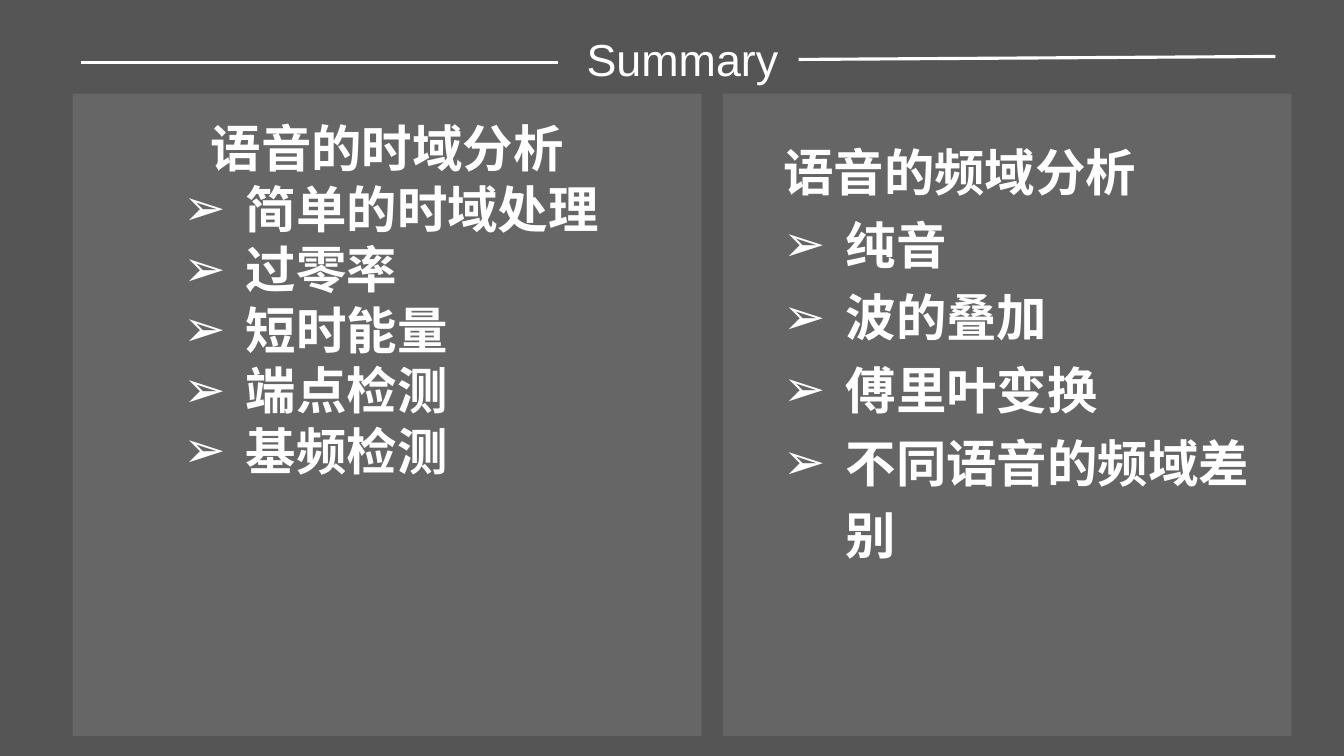
from lxml import etree
from pptx import Presentation
from pptx.dml.color import RGBColor
from pptx.enum import shapes, text
from pptx.oxml import ns
from pptx.util import Inches, Pt

WHITE = "FFFFFF"
CJK_FONT = "Noto Sans CJK SC"

presentation = Presentation()
presentation.slide_width = Inches(13.33)
presentation.slide_height = Inches(7.5)
slide = presentation.slides.add_slide(presentation.slide_layouts[6])


def paint(target, color, opacity=100):
    """Give a fill or line format a solid colour, opacity in percent."""
    target.solid()
    target.fore_color.rgb = RGBColor.from_string(color)
    if opacity < 100:
        color_element = target._xPr.find(ns.qn("a:solidFill"))[0]
        etree.SubElement(color_element, ns.qn("a:alpha"), val=str(opacity * 1000))


def add_panel(left, top, width, height, color, opacity):
    shape = slide.shapes.add_shape(
        shapes.MSO_SHAPE.RECTANGLE, left, top, width, height)
    shape.shadow.inherit = False
    shape.line.fill.background()
    paint(shape.fill, color, opacity)
    return shape


add_panel(0, 0, presentation.slide_width, presentation.slide_height, "0D0D0D", 70)

# Title between two rules
title = slide.shapes.add_textbox(Inches(5.17), Inches(0.31), Inches(3.2), Inches(0.54))
frame = title.text_frame
frame.word_wrap = True
frame.vertical_anchor = text.MSO_ANCHOR.MIDDLE
frame.margin_left = frame.margin_right = frame.margin_top = frame.margin_bottom = 0
paragraph = frame.paragraphs[0]
paragraph.text = "Summary"
paragraph.alignment = text.PP_ALIGN.CENTER
paragraph.font.name = "Arial"
paragraph.font.size = Pt(32)
paragraph.font.color.rgb = RGBColor.from_string(WHITE)

for left, start, end in ((0.8, 0.62, 0.62), (7.92, 0.59, 0.56)):
    rule = slide.shapes.add_connector(
        shapes.MSO_CONNECTOR.STRAIGHT,
        Inches(left), Inches(start), Inches(left + 4.73), Inches(end))
    paint(rule.line.fill, WHITE)
    rule.line.width = Pt(2.25)
    etree.SubElement(rule._element.spPr, ns.qn("a:effectLst"))

# Panels: left, width, fill, font, top inset, line pitch, heading alignment,
# heading indent, bullet indent, lines
HANGING = 0.62
panels = (
    (0.72, 6.24, WHITE, "Arial", 0.23, 43.3, text.PP_ALIGN.CENTER, 0, 1.62,
     ("语音的时域分析", "简单的时域处理", "过零率", "短时能量", "端点检测", "基频检测")),
    (7.17, 5.64, "F2F2F2", CJK_FONT, 0.35, 51.9, text.PP_ALIGN.LEFT, 0.5, 1.12,
     ("语音的频域分析", "纯音", "波的叠加", "傅里叶变换", "不同语音的频域差别")),
)
for (left, width, color, font, inset, pitch, alignment,
     heading_indent, bullet_indent, lines) in panels:
    panel = add_panel(Inches(left), Inches(0.93), Inches(width), Inches(6.37), color, 10)
    frame = panel.text_frame
    frame.word_wrap = True
    frame.vertical_anchor = text.MSO_ANCHOR.TOP
    frame.margin_top = Inches(inset)
    for index, line in enumerate(lines):
        paragraph = frame.add_paragraph() if index else frame.paragraphs[0]
        paragraph.text = line
        paragraph.alignment = text.PP_ALIGN.LEFT if index else alignment
        paragraph.line_spacing = Pt(pitch)
        properties = paragraph._p.get_or_add_pPr()
        properties.set("marL", str(Inches(bullet_indent if index else heading_indent)))
        properties.set("indent", str(Inches(-HANGING) if index else 0))
        if index:
            etree.SubElement(properties, ns.qn("a:buFont"), typeface="Arial")
            etree.SubElement(properties, ns.qn("a:buChar"), char="➢")
        paragraph.font.size = Pt(36)
        paragraph.font.bold = True
        paragraph.font.color.rgb = RGBColor.from_string(WHITE)
        paragraph.font.name = font
        etree.SubElement(paragraph.font._element, ns.qn("a:ea"), typeface=CJK_FONT)

presentation.save("out.pptx")
